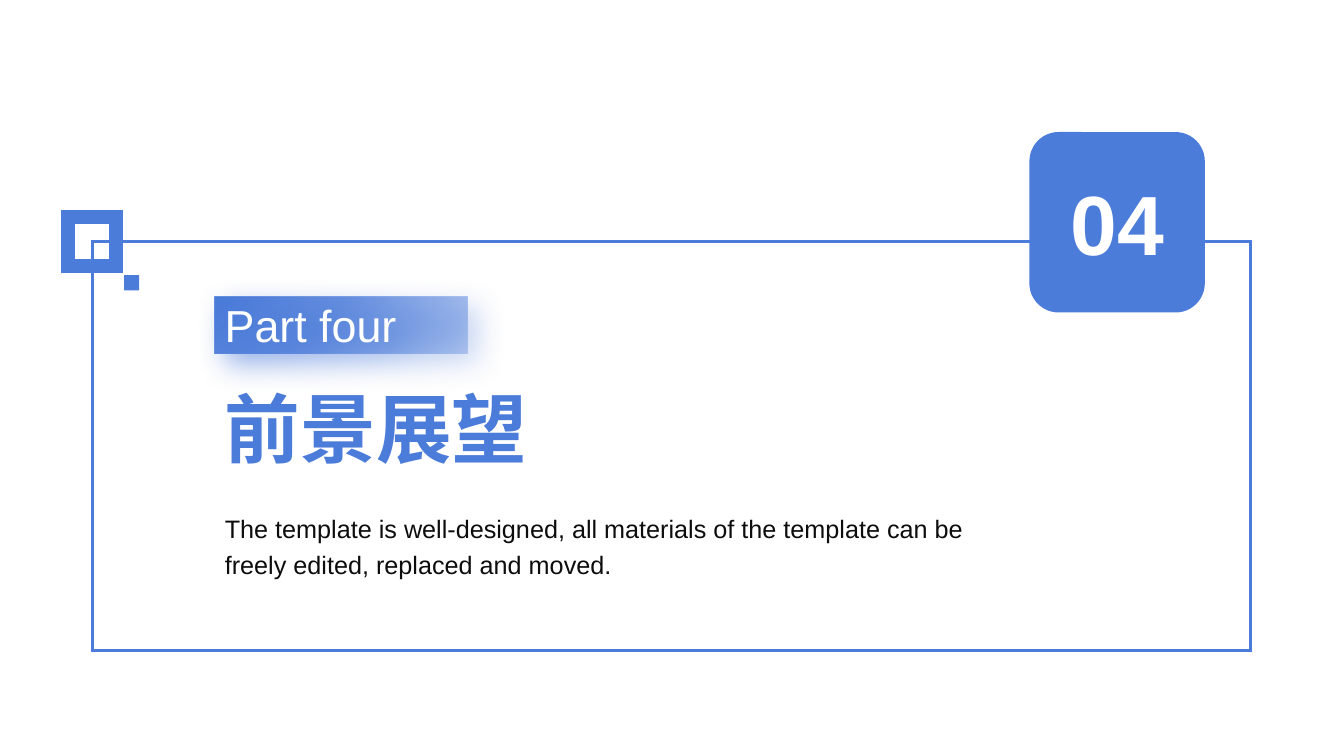
from lxml import etree
from pptx import Presentation
from pptx.dml.color import RGBColor
from pptx.enum.shapes import MSO_SHAPE
from pptx.enum.text import MSO_ANCHOR, MSO_AUTO_SIZE, PP_ALIGN
from pptx.oxml.ns import qn
from pptx.util import Inches, Pt

RECTANGLE = MSO_SHAPE.RECTANGLE
ROUNDED = MSO_SHAPE.ROUNDED_RECTANGLE
TOP, MIDDLE = MSO_ANCHOR.TOP, MSO_ANCHOR.MIDDLE
LEFT, CENTER = PP_ALIGN.LEFT, PP_ALIGN.CENTER
NO_AUTOFIT = MSO_AUTO_SIZE.NONE

FONT = "Arial"
BLUE, WHITE, INK = "4C7CDA", "FFFFFF", "0D0D0D"
TEXT_LEFT = 2.13
FADE_STOPS = [(0, 34), (56, 83), (95, 100)]  # position and opacity, percent


def color(value):
    return RGBColor.from_string(value)


def add_xml(parent, tag, **attributes):
    child = etree.SubElement(parent, qn(tag))
    for name, value in attributes.items():
        child.set(name, str(value))
    return child


def add_color_xml(parent, value, opacity):
    rgb = add_xml(parent, "a:srgbClr", val=value)
    add_xml(rgb, "a:alpha", val=opacity * 1000)


def place(shape, left, top, width, height):
    shape.left, shape.top = Inches(left), Inches(top)
    shape.width, shape.height = Inches(width), Inches(height)


def write(shape, text, size, ink, bold=False, align=LEFT, anchor=TOP, spacing=1.0):
    frame = shape.text_frame
    frame.word_wrap = True
    frame.auto_size = NO_AUTOFIT
    frame.vertical_anchor = anchor
    para = frame.paragraphs[0]
    para.alignment = align
    para.line_spacing = spacing
    para.space_before = Pt(0)
    span = para.add_run()
    span.text = text
    span.font.name = FONT
    span.font.size = Pt(size)
    span.font.bold = bold
    span.font.color.rgb = color(ink)


def add_block(page, kind, *bounds, fill=None, line=None):
    """Add a preset shape with a solid fill or a mitred outline of line points."""
    block = page.shapes.add_shape(kind, *map(Inches, bounds))
    block.shadow.inherit = False
    if fill:
        block.fill.solid()
        block.fill.fore_color.rgb = color(fill)
    else:
        block.fill.background()
    if line:
        block.line.color.rgb = color(BLUE)
        block.line.width = Pt(line)
        outline = block._element.spPr.find(qn("a:ln"))
        add_xml(outline, "a:miter", lim=800000)
    else:
        block.line.fill.background()
    return block


def add_fade(block):
    block.fill.gradient()
    gradient = block._element.spPr.find(qn("a:gradFill"))
    for child in list(gradient):
        gradient.remove(child)
    stops = add_xml(gradient, "a:gsLst")
    for position, opacity in FADE_STOPS:
        stop = add_xml(stops, "a:gs", pos=position * 1000)
        add_color_xml(stop, BLUE, opacity)
    add_xml(gradient, "a:lin", ang=225 * 60000, scaled=0)


def add_glow_shadow(block):
    effects = block._element.spPr.find(qn("a:effectLst"))
    shadow = add_xml(effects, "a:outerShdw", blurRad=Pt(21), dist=Pt(11),
                     dir=45 * 60000, algn="tl", rotWithShape=0)
    add_color_xml(shadow, BLUE, 61)


def remove_bullet(para):
    properties = para._p.get_or_add_pPr()
    properties.set("marL", "0")
    properties.set("indent", "0")
    add_xml(properties, "a:buNone")


def main():
    deck = Presentation()
    deck.slide_width, deck.slide_height = Inches(13.33), Inches(7.5)
    page = deck.slides.add_slide(deck.slide_layouts[1])

    add_block(page, RECTANGLE, 0.92, 2.4, 11.48, 4.05, line=2.25)
    number = add_block(page, ROUNDED, 10.21, 1.31, 1.74, 1.79, fill=BLUE)
    write(number, "04", 60, WHITE, bold=True, align=CENTER, anchor=MIDDLE)

    add_block(page, RECTANGLE, 0.67, 2.15, 0.48, 0.49, line=10)
    add_block(page, RECTANGLE, 1.23, 2.73, 0.15, 0.15, fill=BLUE)

    label = add_block(page, RECTANGLE, TEXT_LEFT, 2.94, 2.51, 0.57)
    add_fade(label)
    add_glow_shadow(label)
    write(label, "Part four", 32, WHITE, anchor=MIDDLE)

    title = page.shapes.title
    place(title, TEXT_LEFT, 3.74, 3.68, 1.01)
    write(title, "前景展望", 54, BLUE, bold=True)

    body = page.placeholders[1]
    place(body, TEXT_LEFT, 4.98, 8.14, 0.79)
    remove_bullet(body.text_frame.paragraphs[0])
    write(body, "The template is well-designed, all materials of the template can be "
          "freely edited, replaced and moved.", 18, INK, spacing=1.2)

    deck.save("out.pptx")


if __name__ == "__main__":
    main()
